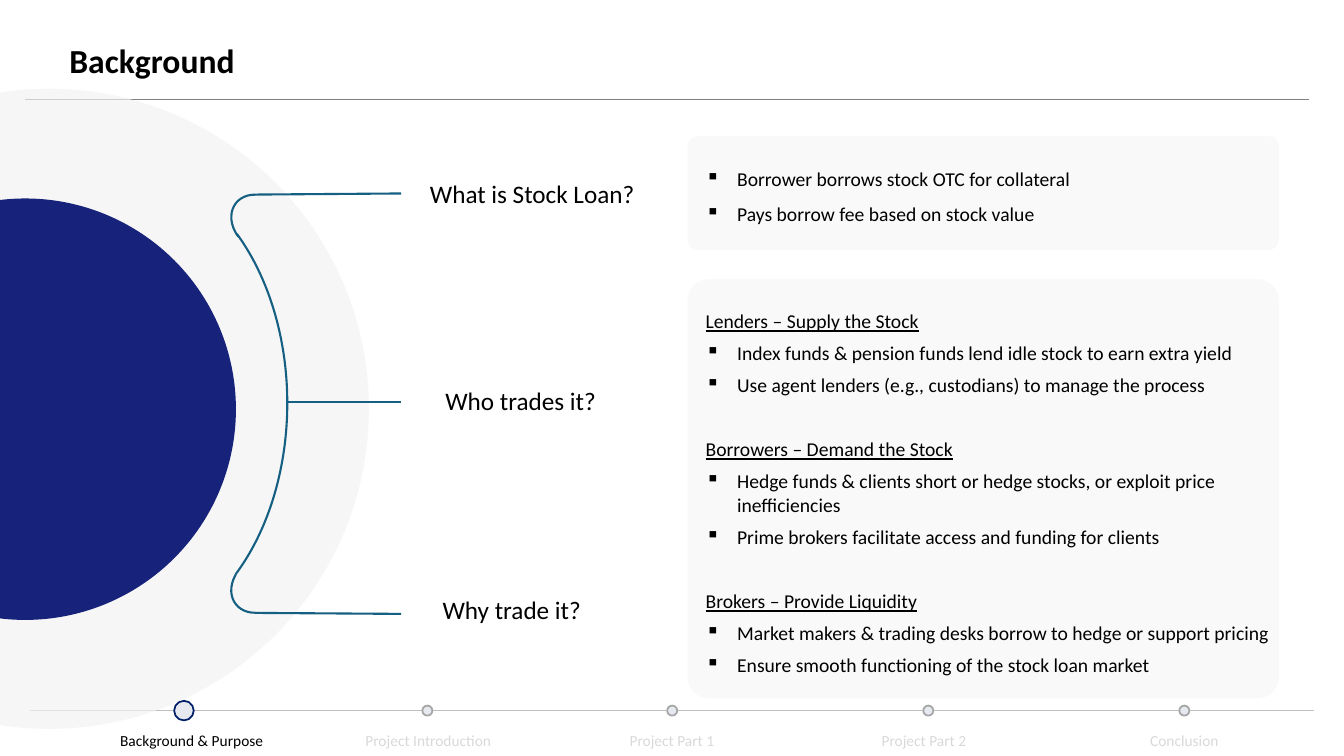
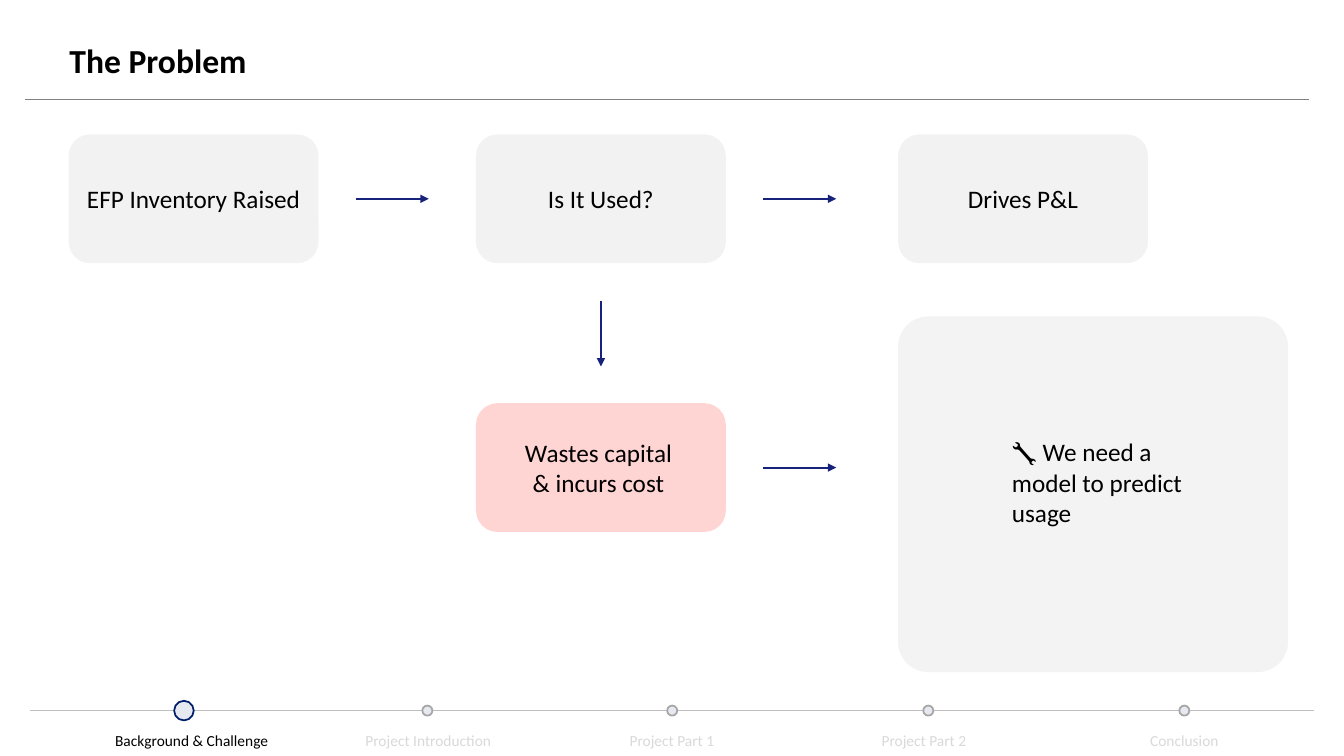
from lxml import etree
from pptx import Presentation
from pptx.dml.color import RGBColor
from pptx.enum.shapes import MSO_CONNECTOR, MSO_SHAPE
from pptx.enum.text import MSO_ANCHOR, PP_ALIGN
from pptx.oxml.ns import qn
from pptx.util import Pt

# Shared look
FONT = "Calibri"
BLACK = RGBColor(0x00, 0x00, 0x00)
NAVY = RGBColor(0x17, 0x23, 0x7A)
RING = RGBColor(0x02, 0x20, 0x69)
DOT_FILL = RGBColor(0xE6, 0xE9, 0xF0)
DOT_LINE = RGBColor(0xA6, 0xA6, 0xA6)
TEAL = RGBColor(0x15, 0x60, 0x82)
PALE = RGBColor(0xF2, 0xF2, 0xF2)
LIGHT = RGBColor(0xD9, 0xD9, 0xD9)
PINK = RGBColor(0xFF, 0x7E, 0x79)
TITLE_RULE = RGBColor(0x80, 0x80, 0x80)
TIMELINE = RGBColor(0xBF, 0xBF, 0xBF)

# Footer stages: name, dot centre, label centre
LATER_STAGES = [
    ("Project Introduction", 305.3, 306),
    ("Project Part 1", 480.2, 480),
    ("Project Part 2", 663.1, 660),
    ("Conclusion", 846, 846),
]
TIMELINE_Y = 507.6

# Slide 1: topics as (text, left, top)
TOPICS = [
    ("What is Stock Loan?", 300, 124),
    ("Who trades it?", 311, 272),
    ("Why trade it?", 309, 421),
]
DEFINITION = [
    "Borrower borrows stock OTC for collateral",
    "Pays borrow fee based on stock value",
]
TRADERS = [
    ("Lenders – Supply the Stock", [
        "Index funds & pension funds lend idle stock to earn extra yield",
        "Use agent lenders (e.g., custodians) to manage the process",
    ]),
    ("Borrowers – Demand the Stock", [
        "Hedge funds & clients short or hedge stocks, or exploit price inefficiencies",
        "Prime brokers facilitate access and funding for clients",
    ]),
    ("Brokers – Provide Liquidity", [
        "Market makers & trading desks borrow to hedge or support pricing",
        "Ensure smooth functioning of the stock loan market",
    ]),
]
# Bracket: box, start and end angle, rotation, flipped
BRACKET_ARCS = [
    ((-26.6, 121, 231.8, 334), 303.5, 57.1, 0, False),
    ((163.4, 398.2, 47.5, 37.4), 302.2, 38.5, 141.6, True),
    ((163.4, 141.1, 47.5, 37.4), 292.9, 38.5, 218.4, False),
]
BRACKET_LINES = [
    (182.2, 437.8, 286.5, 438.5),
    (182.2, 139, 286.5, 138.2),
    (205.2, 287.3, 286.5, 287.3),
]

# Slide 2: flow steps as (text, column, row, fill, opacity, side margins)
COLUMNS, ROWS = (49, 340, 641.5), (96, 288)
STEP_W, STEP_H = 178.5, 92
STEPS = [
    ("EFP Inventory Raised", 0, 0, PALE, 100, (4, 4)),
    ("Is It Used?", 1, 0, PALE, 100, (4, 4)),
    ("Drives P&L", 2, 0, PALE, 100, (4, 4)),
    ("Wastes capital & incurs cost", 1, 1, PINK, 32, (28.5, 32)),
]
RIGHT_ARROWS = [(0, 0), (1, 0), (1, 1)]  # column and row they leave
SOLUTION = "🔧 We need a model to predict usage"
ARROW_GAP, ARROW_W, ARROW_H = 26.8, 52, 47


def add_form(slide, kind, box, fill=None, opacity=100, line=None, width=1.25, adj=()):
    form = slide.shapes.add_shape(kind, *map(Pt, box))
    form.shadow.inherit = False
    for i, value in enumerate(adj):
        form.adjustments[i] = value
    if fill is None:
        form.fill.background()
    else:
        form.fill.solid()
        form.fill.fore_color.rgb = fill
        if opacity < 100:
            color = form.fill._xPr.find(qn("a:solidFill"))[0]
            etree.SubElement(color, qn("a:alpha"), val=str(opacity * 1000))
    if line is None:
        form.line.fill.background()
    else:
        form.line.color.rgb = line
        form.line.width = Pt(width)
    return form


def add_line(slide, x1, y1, x2, y2, color, width, arrow=False):
    line = slide.shapes.add_connector(MSO_CONNECTOR.STRAIGHT, *map(Pt, (x1, y1, x2, y2)))
    line.line.color.rgb = color
    line.line.width = Pt(width)
    if arrow:
        etree.SubElement(line.line._get_or_add_ln(), qn("a:tailEnd"), type="triangle")
    etree.SubElement(line._element.spPr, qn("a:effectLst"))


def set_margins(frame, left, top, right, bottom):
    frame.margin_left, frame.margin_top = Pt(left), Pt(top)
    frame.margin_right, frame.margin_bottom = Pt(right), Pt(bottom)


def write(frame, text, size, color=BLACK, align=PP_ALIGN.LEFT, bold=False,
          underline=False, bullet=False, spacing=1, before=0, after=0):
    """Fill the first paragraph, or add one if it is already in use."""
    first = frame.paragraphs[0]
    paragraph = frame.add_paragraph() if first.runs else first
    paragraph.text = text
    if bullet:
        props = paragraph._p.get_or_add_pPr()
        props.set("marL", str(Pt(22.5)))
        props.set("indent", str(-Pt(22.5)))
        etree.SubElement(props, qn("a:buChar"), char="▪")
    paragraph.alignment = align
    paragraph.line_spacing = spacing
    paragraph.space_before, paragraph.space_after = Pt(before), Pt(after)
    font = paragraph.font
    font.name, font.size, font.bold = FONT, Pt(size), bold
    font.underline = underline
    font.color.rgb = color


def add_label(slide, text, box, size, **style):
    label = slide.shapes.add_textbox(*map(Pt, box))
    label.text_frame.word_wrap = True
    write(label.text_frame, text, size, **style)


def add_stage(slide, name, dot_x, label_x, current=False):
    size = 14 if current else 7.2
    add_form(slide, MSO_SHAPE.OVAL,
             (dot_x - size / 2, TIMELINE_Y - size / 2, size, size),
             DOT_FILL, line=RING if current else DOT_LINE)
    add_label(slide, name, (label_x - 65, 519, 130, 21), 11,
              color=BLACK if current else LIGHT, align=PP_ALIGN.CENTER)


def add_framed_slide(deck, title, stage):
    slide = deck.slides.add_slide(deck.slide_layouts[6])
    add_label(slide, title, (42.5, 25.2, 400, 36), 24, bold=True)
    add_line(slide, 18, 70.6, 935.3, 70.6, TITLE_RULE, 0.25)
    add_line(slide, 21.6, TIMELINE_Y, 938.9, TIMELINE_Y, TIMELINE, 0.25)
    add_stage(slide, stage, 131.4, 137, current=True)
    for later in LATER_STAGES:
        add_stage(slide, *later)
    return slide


def add_panel(slide, top, height, corner, left_margin, top_margin):
    panel = add_form(slide, MSO_SHAPE.ROUNDED_RECTANGLE, (491, top, 422.6, height),
                     PALE, 41, adj=(corner,))
    frame = panel.text_frame
    frame.word_wrap = True
    frame.vertical_anchor = MSO_ANCHOR.TOP
    set_margins(frame, left_margin, top_margin, 0, 0)
    return frame


def build_background(deck):
    slide = add_framed_slide(deck, "Background", "Background & Purpose")

    # Circles and bracket
    add_form(slide, MSO_SHAPE.OVAL, (-193.7, 63.4, 457.2, 457.2), PALE, 68)
    add_form(slide, MSO_SHAPE.OVAL, (-132.5, 141.8, 301, 301), NAVY)
    for box, start, end, rotation, flipped in BRACKET_ARCS:
        # Angles are stored in 60000ths of a degree, adjustments in 100000ths
        arc = add_form(slide, MSO_SHAPE.ARC, box, line=TEAL, width=1.5,
                       adj=(start * 0.6, end * 0.6))
        arc.rotation = rotation
        if flipped:
            arc._element.spPr.find(qn("a:xfrm")).set("flipV", "1")
    for ends in BRACKET_LINES:
        add_line(slide, *ends, TEAL, 1.5)
    for topic, left, top in TOPICS:
        add_label(slide, topic, (left, top, 168, 29), 18)

    # Answer panels
    definition = add_panel(slide, 97.2, 81.4, 0.095, 10.8, 11.5)
    for point in DEFINITION:
        write(definition, point, 14, bullet=True, spacing=1.5)
    traders = add_panel(slide, 199.4, 299.5, 0.052, 8.5, 17)
    for i, (group, points) in enumerate(TRADERS):
        write(traders, group, 14, underline=True, before=23 if i else 0, after=6)
        for point in points:
            write(traders, point, 14, bullet=True, after=6)


def build_problem(deck):
    slide = add_framed_slide(deck, "The Problem", "Background & Challenge")

    # Flow steps
    for text, column, row, fill, opacity, (left, right) in STEPS:
        step = add_form(slide, MSO_SHAPE.ROUNDED_RECTANGLE,
                        (COLUMNS[column], ROWS[row], STEP_W, STEP_H), fill, opacity)
        step.text_frame.word_wrap = True
        set_margins(step.text_frame, left, 3.6, right, 3.6)
        write(step.text_frame, text, 18, align=PP_ALIGN.CENTER)

    # Solution
    solution = add_form(slide, MSO_SHAPE.ROUNDED_RECTANGLE,
                        (COLUMNS[2], 226, 278.6, 254), LIGHT, 31, adj=(0.085,))
    solution.text_frame.word_wrap = True
    set_margins(solution.text_frame, 75, 3.6, 53, 21)
    write(solution.text_frame, SOLUTION, 18)

    # Arrows
    for column, row in RIGHT_ARROWS:
        x = COLUMNS[column] + STEP_W + ARROW_GAP
        y = ROWS[row] + STEP_H / 2
        add_line(slide, x, y, x + ARROW_W, y, NAVY, 1.5, arrow=True)
    x = COLUMNS[1] + STEP_W / 2
    y = ROWS[0] + STEP_H + ARROW_GAP
    add_line(slide, x, y, x, y + ARROW_H, NAVY, 1.5, arrow=True)


def main():
    deck = Presentation()
    deck.slide_width, deck.slide_height = Pt(960), Pt(540)
    build_background(deck)
    build_problem(deck)
    deck.save("out.pptx")


if __name__ == "__main__":
    main()
